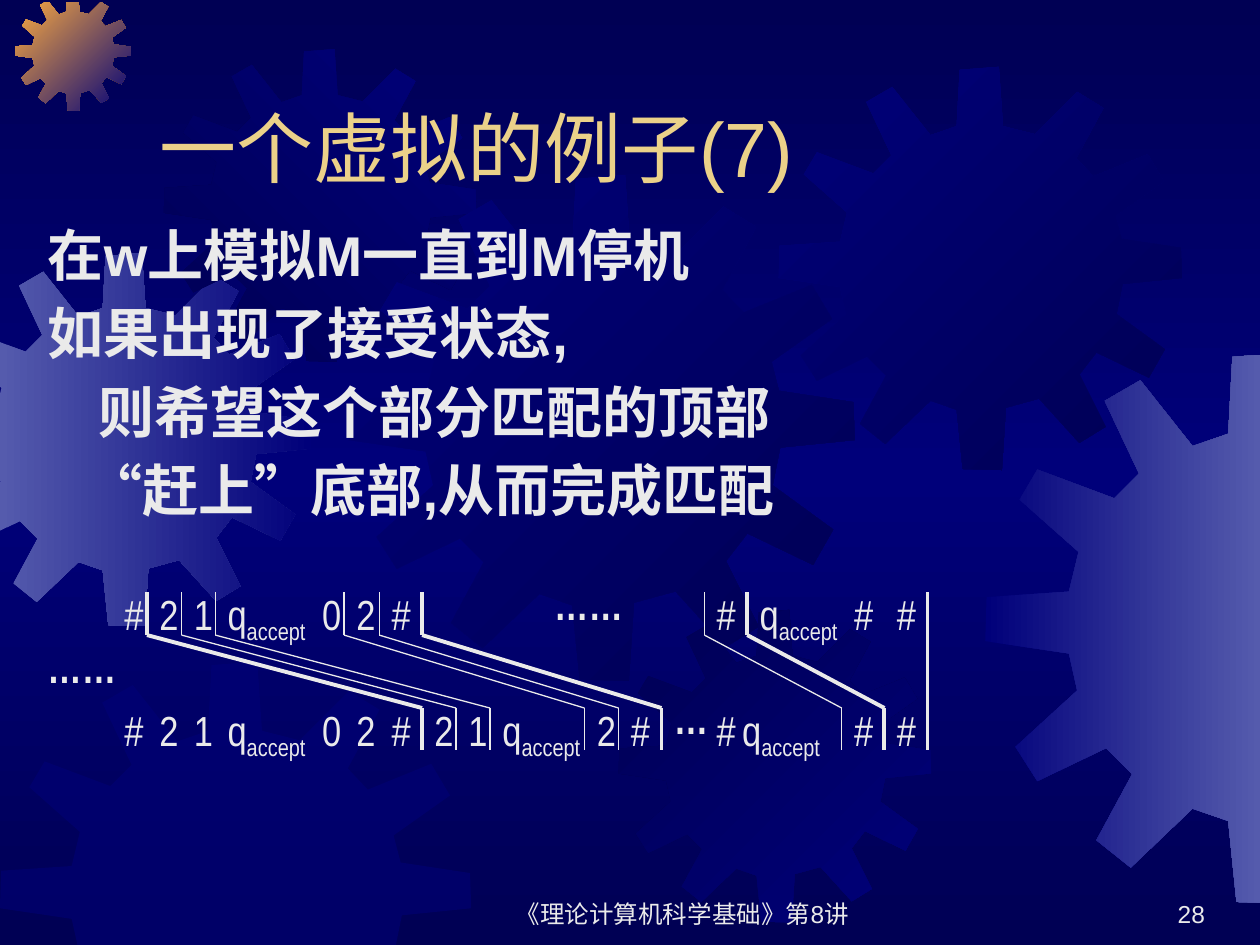
import copy

import pptx
import pptx.dml.color
import pptx.enum.lang
import pptx.enum.shapes
import pptx.enum.text
import pptx.oxml
import pptx.oxml.ns
import pptx.util

Pt = pptx.util.Pt
ALIGN = pptx.enum.text.PP_ALIGN
ANCHOR = pptx.enum.text.MSO_ANCHOR
NAVY, BLUE, LILAC, AMBER = "000054", "00007A", "555BAD", "FCAB40"
PALE, GOLD = "EAEAEA", "EBD189"
WIDE, HIGH = 720, 540

# One gear outline on a square of SIDE units
SIDE = 401
GEAR = [
    (255, 67), (223, 59), (219, 0), (180, 3), (177, 59), (151, 68),
    (113, 20), (87, 35), (112, 88), (94, 106), (38, 85), (25, 107),
    (68, 145), (61, 174), (1, 178), (0, 210), (61, 219), (67, 246),
    (22, 287), (38, 312), (88, 288), (107, 307), (81, 355), (106, 375),
    (151, 332), (177, 341), (183, 400), (222, 401), (226, 339), (259, 330),
    (299, 374), (325, 358), (299, 306), (316, 284), (368, 309), (384, 281),
    (336, 246), (342, 216), (401, 210), (400, 180), (341, 171), (335, 148),
    (383, 114), (367, 87), (313, 109), (296, 91), (323, 41), (297, 25),
]

# Left, top, size, colours, angle
GEARS = [
    (-35.3, 144.7, 213.1, (LILAC, BLUE), 0),
    (8.6, -2.9, 66.2, (AMBER, BLUE), 45),
    (93.6, 28.1, 178.6, (NAVY, BLUE), 315),
    (199.4, 100.1, 289, (BLUE, NAVY), 45),
    (0, 378, 269.3, (BLUE,), 0),
    (353.5, 348.5, 178.6, (NAVY, BLUE), 45),
    (445, 38.2, 230.4, (BLUE, NAVY), 45),
    (563, 201.6, 314.6, (BLUE, LILAC), 0),
]

# Left edge, width and text of each symbol
TOP_ROW = [
    (64, 25, "#"), (84, 30, "2"), (103.7, 25, "1"), (123, 67, "q"),
    (177, 25, "0"), (196.6, 30, "2"), (216.7, 25, "#"), (402.5, 25, "#"),
    (427, 69, "q"), (481, 25, "#"), (505.4, 25, "#"),
]
LOW_ROW = TOP_ROW[:7] + [
    (241.2, 30, "2"), (260.6, 25, "1"), (280, 68, "q"), (334, 30, "2"),
    (353.5, 25, "#"), (402.5, 25, "#"), (417, 69, "q"), (481, 25, "#"),
    (505.4, 25, "#"),
]
DOTS = [(20, 363, 54, "……"), (309.6, 327, 54, "……"), (378, 392.4, 35, "…")]

# Top edge, bottom edge and weight of each domino border
LINKS = [
    (84, 241.2, 2.25), (103.7, 260.6, 0.75), (123, 280, 0.75),
    (196.6, 334, 0.75), (216.7, 353.5, 0.75), (241.2, 378, 2.25),
    (402.5, 481, 0.75), (427, 505.4, 2.25),
]

BODY = [
    ("在w上模拟M一直到M停机", 0), ("如果出现了接受状态,", 0),
    ("则希望这个部分匹配的顶部", 29), ("“赶上”底部,从而完成匹配", 22),
]


def tint(code):
    return pptx.dml.color.RGBColor.from_string(code)


def blend(fill, hues, angle):
    fill.gradient()
    fill.gradient_angle = -angle % 360
    stops = fill.gradient_stops
    for stop, hue, place in zip(stops, hues, (0, 1)):
        stop.color.rgb = tint(hue)
        stop.position = place


def crop(points, axis, edge, sign):
    """Keep the part of a polygon on one side of an edge."""
    kept = []
    for a, b in zip(points, points[1:] + points[:1]):
        ins, out = [sign * (p[axis] - edge) >= 0 for p in (a, b)]
        if ins:
            kept.append(a)
        if ins != out:
            t = (edge - a[axis]) / (b[axis] - a[axis])
            kept.append(tuple(m + t * (n - m) for m, n in zip(a, b)))
    return kept


def gear(slide, left, top, size, hues, angle):
    k = size / SIDE
    points = [(left + x * k, top + y * k) for x, y in GEAR]
    for side in ((0, 0, 1), (0, WIDE, -1), (1, 1.4, 1), (1, HIGH, -1)):
        points = crop(points, *side)
    points = [(Pt(x), Pt(y)) for x, y in points]
    pen = slide.shapes.build_freeform(*points[0])
    pen.add_line_segments(points[1:], close=True)
    shape = pen.convert_to_shape()
    shape.shadow.inherit = False
    shape.line.fill.background()
    if len(hues) > 1:
        blend(shape.fill, hues, angle)
    else:
        shape.fill.solid()
        shape.fill.fore_color.rgb = tint(hues[0])
        tag = pptx.oxml.ns.qn("a:srgbClr")
        color = next(shape.fill._xPr.iter(tag))
        pptx.oxml.xmlchemy.OxmlElement("a:alpha")
        alpha = color.makeelement(pptx.oxml.ns.qn("a:alpha"), {"val": "50000"})
        color.append(alpha)


def write(para, text, hue=PALE, **style):
    run = para.add_run()
    run.text = text
    look = {"name": "Arial", "size": Pt(14), "bold": False,
            "language_id": pptx.enum.lang.MSO_LANGUAGE_ID.SIMPLIFIED_CHINESE}
    for key, value in (look | style).items():
        setattr(run.font, key, value)
    run.font.color.rgb = tint(hue)
    return run


def frame(slide, box, anchor=ANCHOR.TOP, align=ALIGN.LEFT):
    body = slide.shapes.add_textbox(*map(Pt, box)).text_frame
    body.word_wrap = True
    body.vertical_anchor = anchor
    body.paragraphs[0].alignment = align
    return body


def label(slide, left, top, width, text, bold=False):
    para = frame(slide, (left, top, width, 36)).paragraphs[0]
    style = {"name": "Arial Narrow", "size": Pt(24), "bold": bold}
    write(para, text, **style)
    if text == "q":
        sub = write(para, "accept", **style)
        sub.font._element.set("baseline", "-25000")


def rule(slide, start, end, weight):
    kind = pptx.enum.shapes.MSO_CONNECTOR.STRAIGHT
    line = slide.shapes.add_connector(kind, *map(Pt, start + end))
    line.line.color.rgb = tint(PALE)
    line.line.width = Pt(weight)
    props = line._element.spPr
    props.append(props.makeelement(pptx.oxml.ns.qn("a:effectLst"), {}))


def main():
    deck = pptx.Presentation()
    deck.slide_width, deck.slide_height = Pt(WIDE), Pt(HIGH)
    slide = deck.slides.add_slide(deck.slide_layouts[6])

    # Background, with a brighter middle stop
    fill = slide.background.fill
    blend(fill, (NAVY, BLUE), 90)
    first, mid = fill.gradient_stops
    mid.position = 0.5
    last = copy.deepcopy(first._gs)
    last.set("pos", "100000")
    mid._gs.addnext(last)
    for item in GEARS:
        gear(slide, *item)

    # Footer, page number and title
    for box, align, text, hue, size in (
        ((275.8, 498.2, 228.2, 36), ALIGN.CENTER, "《理论计算机科学基础》第8讲", PALE, 14),
        ((545.8, 498.2, 149.8, 36), ALIGN.RIGHT, "28", PALE, 14),
        ((84.2, 23.8, 612, 90), ALIGN.LEFT, "一个虚拟的例子(7)", GOLD, 44),
    ):
        body = frame(slide, box, ANCHOR.BOTTOM, align)
        write(body.paragraphs[0], text, hue, size=Pt(size))

    # Matching strings
    for top, row in ((332.6, TOP_ROW), (398.9, LOW_ROW)):
        for left, width, text in row:
            label(slide, left, top, width, text)
    for left, top, width, text in DOTS:
        label(slide, left, top, width, text, True)

    # Domino borders
    for high, low, weight in LINKS:
        bends = [(high, 338.4), (high, 362.9), (low, 404.6), (low, 428.4)]
        for start, end in zip(bends, bends[1:]):
            rule(slide, start, end, weight)
    rule(slide, (530, 338.4), (530, 428.4), 2.25)

    # Body text
    body = frame(slide, (20.2, 122.4, 607.7, 231))
    for i, (text, inset) in enumerate(BODY):
        para = body.add_paragraph() if i else body.paragraphs[0]
        para.space_before = Pt(6.4)
        para._p.get_or_add_pPr().set("marL", str(Pt(inset)))
        write(para, text, size=Pt(32), bold=True)

    deck.save("out.pptx")


if __name__ == "__main__":
    main()
